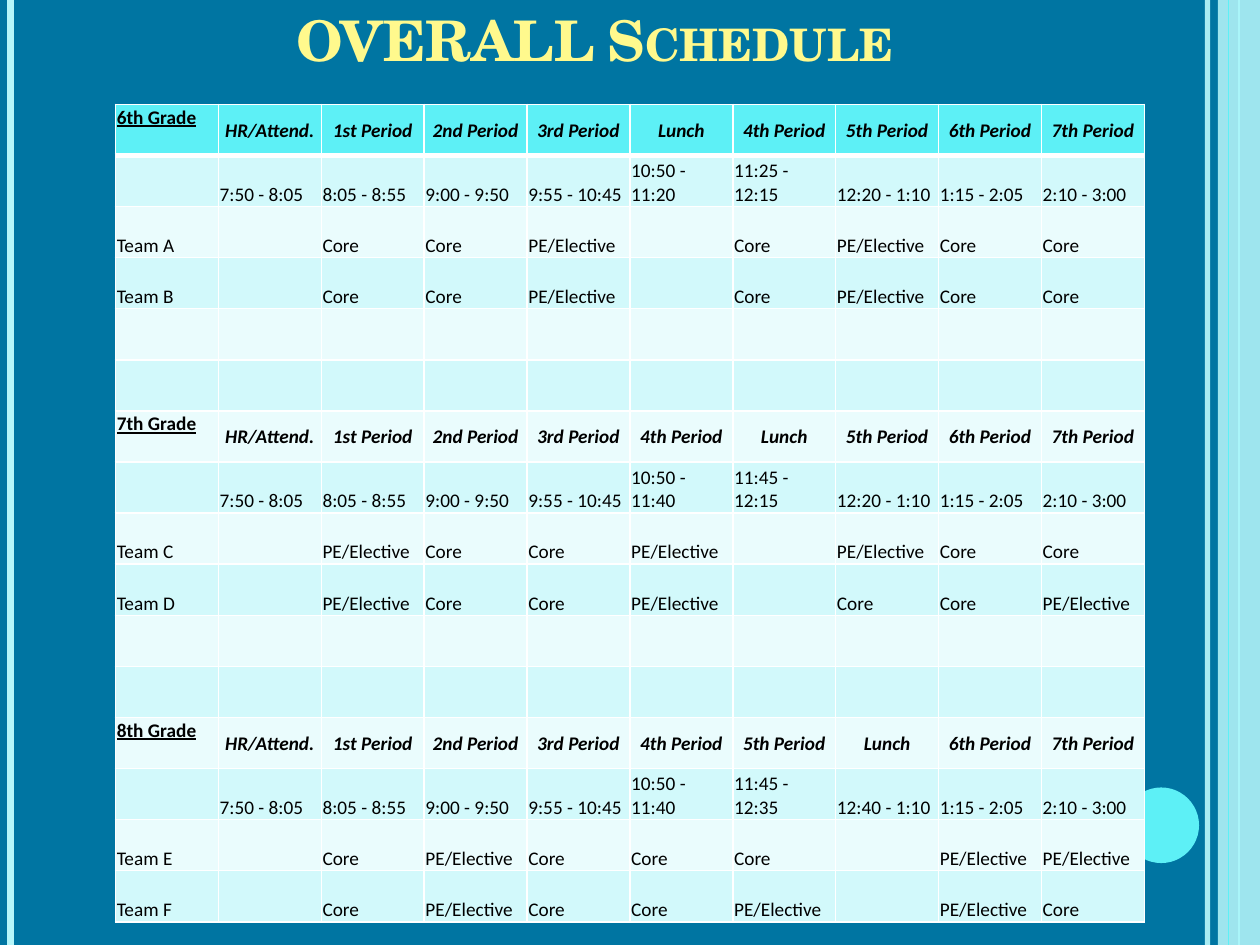
import lxml.etree
import pptx
import pptx.dml.color
import pptx.enum.shapes
import pptx.enum.text
import pptx.oxml.ns
import pptx.util

Pt = pptx.util.Pt
qn = pptx.oxml.ns.qn
ANCHOR = pptx.enum.text.MSO_ANCHOR
ALIGN = pptx.enum.text.PP_ALIGN
SHAPE = pptx.enum.shapes.MSO_SHAPE

COLORS = {
    "background": "0075A2", "stripe": "B6F6FA", "accent": "5DF0F6",
    "title": "FFF98D", "text": "000000", "border": "FFFFFF",
    "band_dark": "D2F9FB", "band_light": "EAFCFD",
}

P, C = "PE/Elective", "Core"
START = ["7:50 - 8:05", "8:05 - 8:55", "9:00 - 9:50", "9:55 - 10:45"]
END = ["1:15 - 2:05", "2:10 - 3:00"]
PERIODS = ["1st", "2nd", "3rd", "4th", "5th", "6th", "7th"]

# Grade, number of periods before lunch, midday times, teams
GRADES = [
    ("6th Grade", 3, ["10:50 - 11:20", "11:25 - 12:15", "12:20 - 1:10"],
     [["Team A", "", C, C, P, "", C, P, C, C],
      ["Team B", "", C, C, P, "", C, P, C, C]]),
    ("7th Grade", 4, ["10:50 - 11:40", "11:45 - 12:15", "12:20 - 1:10"],
     [["Team C", "", P, C, C, P, "", P, C, C],
      ["Team D", "", P, C, C, P, "", C, C, P]]),
    ("8th Grade", 5, ["10:50 - 11:40", "11:45 - 12:35", "12:40 - 1:10"],
     [["Team E", "", C, P, C, C, C, "", P, P],
      ["Team F", "", C, P, C, C, P, "", P, C]]),
]


def rgb(name):
    """Return the named colour."""
    return pptx.dml.color.RGBColor.from_string(COLORS[name])


def write(tf, text, font="Calibri", size=11, color="text", bold=False,
          italic=False, underline=False, small_caps=False, align=ALIGN.LEFT):
    """Write one formatted paragraph into a text frame."""
    p = tf.paragraphs[0]
    p.alignment = align
    r = p.add_run()
    r.text = text
    f = r.font
    f.name, f.size, f.bold = font, Pt(size), bold
    f.italic, f.underline = italic, underline
    f.color.rgb = rgb(color)
    if small_caps:
        r._r.get_or_add_rPr().set("cap", "small")


def set_alpha(fill_parent, percent):
    """Make the solid colour inside an element partly transparent."""
    clr = next(fill_parent.iter(qn("a:srgbClr")))
    lxml.etree.SubElement(clr, qn("a:alpha")).set("val", str(percent * 1000))


def add_rule(s, x, y, h, color, width, alpha=100):
    """Draw a vertical line."""
    sp = s.shapes.add_connector(pptx.enum.shapes.MSO_CONNECTOR.STRAIGHT,
                                Pt(x), Pt(y), Pt(x), Pt(y + h))
    sp.line.color.rgb = rgb(color)
    sp.line.width = Pt(width)
    spPr = sp._element.spPr
    if alpha < 100:
        set_alpha(spPr, alpha)
    lxml.etree.SubElement(spPr, qn("a:effectLst"))


def add_block(s, kind, x, y, w, h, color, alpha=100):
    """Draw a filled shape without outline or shadow."""
    sp = s.shapes.add_shape(kind, Pt(x), Pt(y), Pt(w), Pt(h))
    sp.shadow.inherit = False
    sp.fill.solid()
    sp.fill.fore_color.rgb = rgb(color)
    sp.line.fill.background()
    if alpha < 100:
        set_alpha(sp._element.spPr, alpha)


def add_decoration(s, x, y, w, h):
    """Draw the side stripes and the disc within the slide box."""
    right = x + w
    add_rule(s, right - 30, y, h, "stripe", 3, alpha=93)
    add_rule(s, x + 6, y, h, "stripe", 4.5)
    add_rule(s, right - 12, y, h, "accent", 1.5)
    add_block(s, SHAPE.RECTANGLE, right - 24, y, 24, h, "stripe", alpha=87)
    add_rule(s, right - 18, y, h, "accent", 0.75)
    add_block(s, SHAPE.OVAL, right - 78, y + h - 90, 43.2, 43.2, "accent")


def add_title(s, x, y, w, h):
    """Place the title placeholder."""
    sp = s.shapes.title
    sp.left, sp.top, sp.width, sp.height = Pt(x), Pt(y), Pt(w), Pt(h)
    tf = sp.text_frame
    tf.word_wrap = True
    tf.vertical_anchor = ANCHOR.BOTTOM
    write(tf, "OVERALL Schedule", font="TeX Gyre Schola", size=32,
          color="title", bold=True, small_caps=True)


def schedule_rows():
    """Return (is_heading, texts) for each table row."""
    rows = []
    for grade, before_lunch, midday, teams in GRADES:
        if rows:
            rows += [(False, [""] * 10)] * 2
        names = [f"{n} Period" for n in PERIODS]
        names.insert(before_lunch, "Lunch")
        rows.append((True, [grade, "HR/Attend."] + names))
        rows.append((False, [""] + START + midday + END))
        rows += [(False, team) for team in teams]
    return rows


def set_borders(cell, top, bottom):
    """Give a cell white borders; top and bottom widths in points."""
    tcPr = cell._tc.get_or_add_tcPr()
    for side, width in (("L", 1), ("R", 1), ("T", top), ("B", bottom)):
        ln = lxml.etree.SubElement(tcPr, qn(f"a:ln{side}"), w=str(Pt(width)))
        fill = lxml.etree.SubElement(ln, qn("a:solidFill"))
        lxml.etree.SubElement(fill, qn("a:srgbClr"), val=COLORS["border"])


def fill_cell(cell, text, row, col, heading):
    """Format one schedule cell and write its text."""
    set_borders(cell, 3 if row == 1 else 1, 3 if row == 0 else 1)
    cell.fill.solid()
    band = "band_dark" if row % 2 else "band_light"
    cell.fill.fore_color.rgb = rgb("accent" if row == 0 else band)
    cell.margin_left = cell.margin_right = cell.margin_top = Pt(0.75)
    cell.margin_bottom = 0
    if not text:
        return
    if not heading:
        cell.vertical_anchor = ANCHOR.BOTTOM
        write(cell.text_frame, text)
    elif col == 0:
        cell.vertical_anchor = ANCHOR.TOP
        write(cell.text_frame, text, bold=True, underline=True)
    else:
        cell.vertical_anchor = ANCHOR.MIDDLE
        write(cell.text_frame, text, bold=True, italic=True,
              align=ALIGN.CENTER)


def add_schedule(s, x, y, w, h):
    """Place the schedule table with equal rows and columns."""
    rows = schedule_rows()
    n_cols = len(rows[0][1])
    table = s.shapes.add_table(len(rows), n_cols,
                               Pt(x), Pt(y), Pt(w), Pt(h)).table
    for column in table.columns:
        column.width = Pt(w / n_cols)
    for i, (heading, texts) in enumerate(rows):
        table.rows[i].height = Pt(h / len(rows))
        for j, text in enumerate(texts):
            fill_cell(table.cell(i, j), text, i, j, heading)


def build_slide(prs):
    """Add the schedule slide."""
    s = prs.slides.add_slide(prs.slide_layouts[5])
    s.background.fill.solid()
    s.background.fill.fore_color.rgb = rgb("background")
    add_decoration(s, 0, 0, 720, 540)
    add_title(s, 162, -44.6, 588, 90)
    add_schedule(s, 66, 59.6, 588, 467.2)


prs = pptx.Presentation()
prs.slide_width, prs.slide_height = Pt(720), Pt(540)
build_slide(prs)
prs.save("out.pptx")
